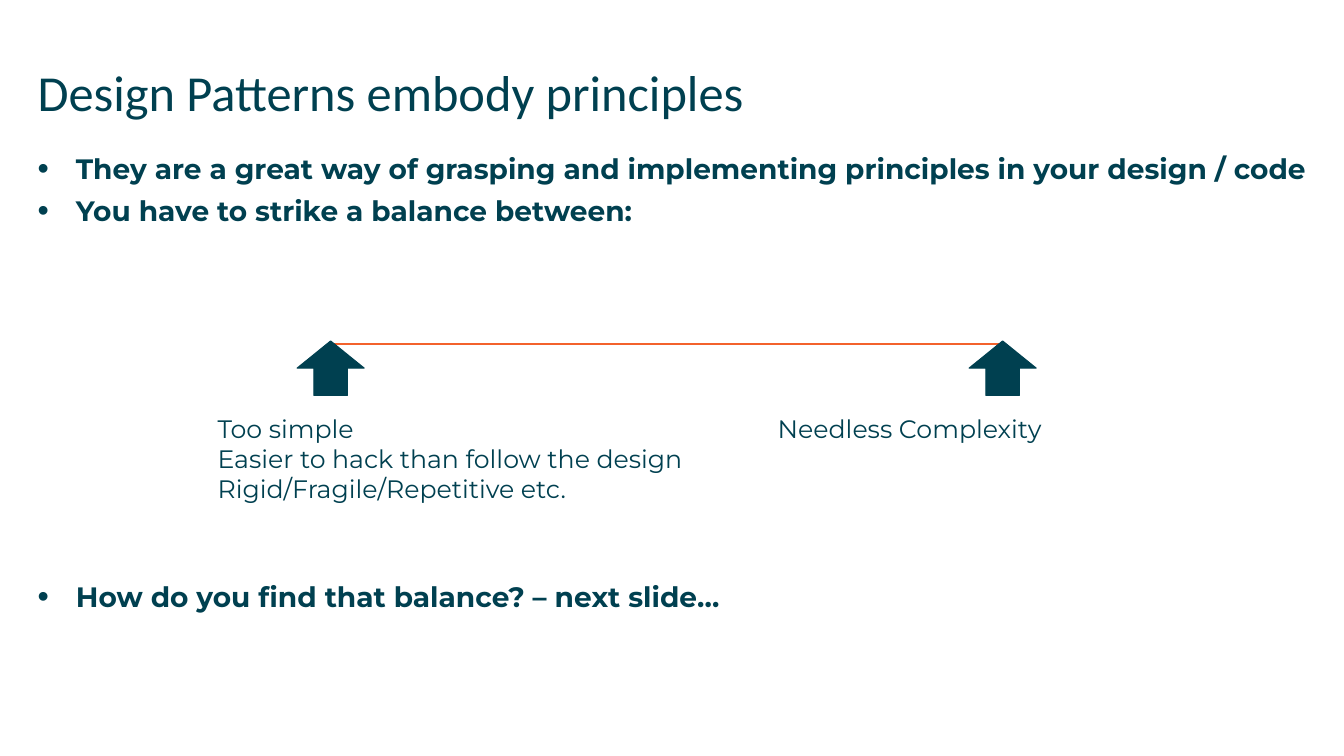
from lxml.etree import SubElement
from pptx import Presentation
from pptx.dml.color import RGBColor
from pptx.enum.shapes import MSO_CONNECTOR, MSO_SHAPE
from pptx.enum.text import MSO_ANCHOR, MSO_AUTO_SIZE, PP_ALIGN
from pptx.oxml.ns import qn
from pptx.util import Inches, Pt

COLORS = {"ink": "004050", "scale": "F3622C"}
SLIDE_WIDTH, SLIDE_HEIGHT = Inches(13.33), Inches(7.5)
SCALE_TOP = 45.45
ENDS = (24.6, 74.6)


def color(name):
    return RGBColor.from_string(COLORS[name])


def area(left, top, width, height):
    across, down = SLIDE_WIDTH / 100, SLIDE_HEIGHT / 100
    return int(left * across), int(top * down), int(width * across), int(height * down)


def add_bullet(paragraph):
    properties = paragraph._p.get_or_add_pPr()
    properties.set("marL", str(Inches(0.38)))
    properties.set("indent", str(-Inches(0.38)))
    SubElement(properties, qn("a:buSzPct"), val="115000")
    SubElement(properties, qn("a:buFont"), typeface="Arial")
    SubElement(properties, qn("a:buChar"), char="•")


def write(frame, lines, size=18, font="Montserrat", bold=False,
          align=PP_ALIGN.LEFT, after=0, bullets=False, wrap=True, inset=0):
    frame.word_wrap = wrap
    frame.auto_size = MSO_AUTO_SIZE.NONE if wrap else MSO_AUTO_SIZE.SHAPE_TO_FIT_TEXT
    frame.vertical_anchor = MSO_ANCHOR.TOP
    frame.margin_left = frame.margin_right = Inches(inset)
    frame.margin_top = frame.margin_bottom = Inches(inset / 2)
    for index, line in enumerate(lines):
        paragraph = frame.add_paragraph() if index else frame.paragraphs[0]
        paragraph.alignment = align
        paragraph.space_after = Pt(after)
        if bullets:
            add_bullet(paragraph)
        run = paragraph.add_run()
        run.text = line
        run.font.size = Pt(size)
        run.font.name = font
        run.font.bold = bold
        run.font.color.rgb = color("ink")


def add_title(slide, text):
    title = slide.shapes.title
    title.left, title.top, title.width, title.height = area(2.8, 8.13, 94.5, 11.73)
    write(title.text_frame, [text], size=36, font="Calibri")


def add_points(slide, top, height, points):
    box = slide.shapes.add_textbox(*area(2.8, top, 94.5, height))
    write(box.text_frame, points, size=20, bold=True, after=6.5, bullets=True)


def add_label(slide, left, width, height, lines, align=PP_ALIGN.LEFT):
    box = slide.shapes.add_textbox(*area(left, 54, width, height))
    write(box.text_frame, lines, align=align, wrap=False, inset=0.1)


def add_scale(slide):
    start, end = ENDS
    left, top, width, _ = area(start, SCALE_TOP, end - start, 0)
    scale = slide.shapes.add_connector(
        MSO_CONNECTOR.STRAIGHT, left, top, left + width, top)
    scale.line.color.rgb = color("scale")
    scale.line.width = Pt(1.5)
    SubElement(scale._element.spPr, qn("a:effectLst"))


def add_pointer(slide, center):
    pointer = slide.shapes.add_shape(
        MSO_SHAPE.UP_ARROW, *area(center - 2.5, 45.1, 5, 7.2))
    pointer.shadow.inherit = False
    pointer.fill.solid()
    pointer.fill.fore_color.rgb = color("ink")
    pointer.line.color.rgb = color("ink")
    pointer.line.width = Pt(0.75)


def main():
    deck = Presentation()
    deck.slide_width, deck.slide_height = SLIDE_WIDTH, SLIDE_HEIGHT
    slide = deck.slides.add_slide(deck.slide_layouts.get_by_name("Title Only"))
    add_title(slide, "Design Patterns embody principles")
    add_points(slide, 20, 12, [
        "They are a great way of grasping and implementing principles in your design / code",
        "You have to strike a balance between:",
    ])
    add_scale(slide)
    for center in ENDS:
        add_pointer(slide, center)
    add_label(slide, 15.45, 36.76, 13.47, [
        "Too simple",
        "Easier to hack than follow the design",
        "Rigid/Fragile/Repetitive etc.",
    ])
    add_label(slide, 56.5, 21.75, 5.33, ["Needless Complexity"], align=PP_ALIGN.RIGHT)
    add_points(slide, 76.6, 6, ["How do you find that balance? – next slide…"])
    deck.save("out.pptx")


if __name__ == "__main__":
    main()
